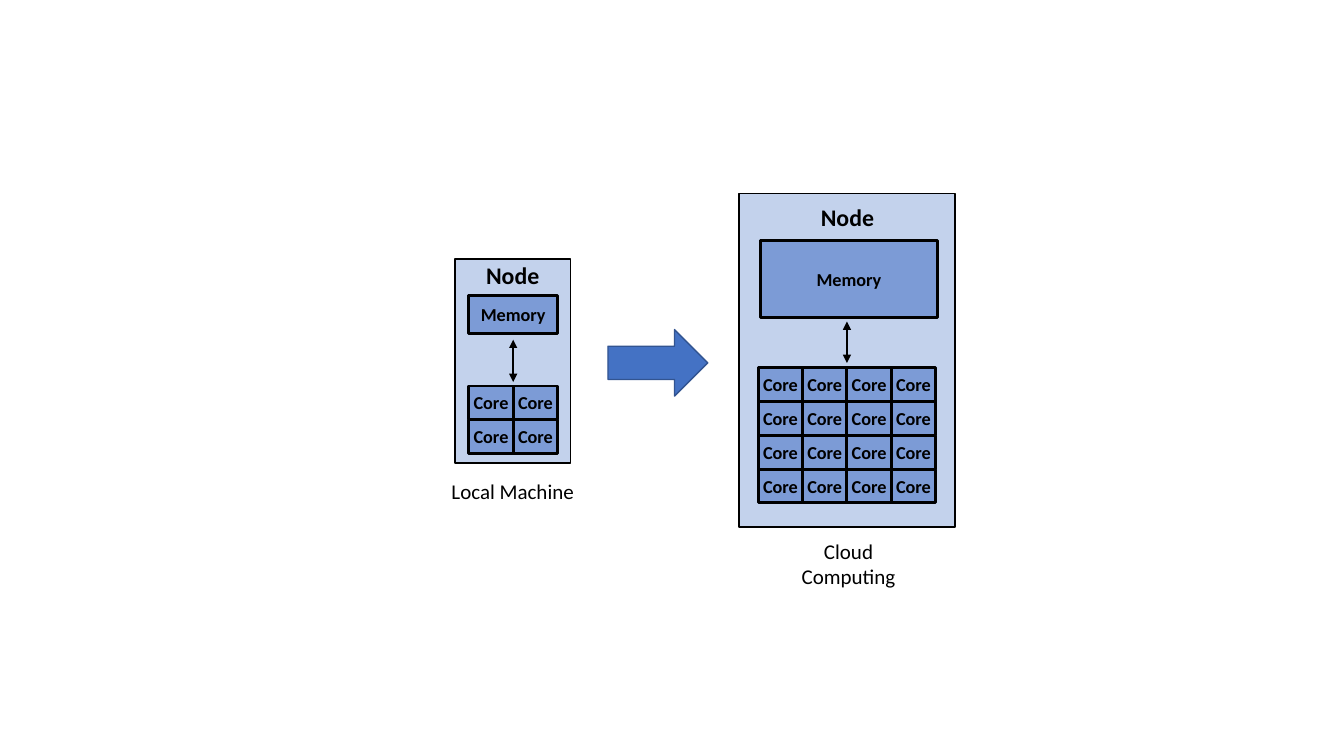
from lxml import etree
from pptx import Presentation
from pptx.dml.color import RGBColor
from pptx.enum.shapes import MSO_CONNECTOR, MSO_SHAPE
from pptx.enum.text import MSO_ANCHOR as ANCHOR, PP_ALIGN as ALIGN
from pptx.oxml.ns import qn
from pptx.util import Inches, Pt

BLACK = RGBColor(0x00, 0x00, 0x00)
NODE_FILL = RGBColor(0xC3, 0xD2, 0xEC)
PART_FILL = RGBColor(0x7C, 0x9B, 0xD6)
ARROW_FILL = RGBColor(0x44, 0x72, 0xC4)
ARROW_LINE = RGBColor(0x32, 0x54, 0x91)
FONT = "Calibri"
CORE_W, CORE_H, CORE_PITCH = 0.44, 0.33, 1.01 / 3


def write(sp, text, size, bold, anchor):
    """Put centred text with narrow margins into a shape."""
    tf = sp.text_frame
    tf.word_wrap = True
    tf.vertical_anchor = anchor
    tf.margin_left = tf.margin_right = Inches(0.01)
    tf.margin_top = tf.margin_bottom = Inches(0.01)
    tf.text = text
    p = tf.paragraphs[0]
    p.alignment = ALIGN.CENTER
    font = p.runs[0].font
    font.name, font.size, font.bold = FONT, Pt(size), bold
    font.color.rgb = BLACK


def add_box(s, box, fill, line, width, kind=MSO_SHAPE.RECTANGLE):
    """Add a filled and outlined shape."""
    sp = s.shapes.add_shape(kind, *map(Inches, box))
    sp.shadow.inherit = False
    sp.fill.solid()
    sp.fill.fore_color.rgb = fill
    sp.line.color.rgb = line
    sp.line.width = Pt(width)
    return sp


def add_part(s, box, text):
    """Add a labelled hardware part."""
    write(add_box(s, box, PART_FILL, BLACK, 2), text, 13, True, ANCHOR.MIDDLE)


def add_label(s, box, text, size, bold=False):
    """Add a text box."""
    write(s.shapes.add_textbox(*map(Inches, box)), text, size, bold, ANCHOR.TOP)


def add_cores(s, left, top, count):
    """Add a square grid of cores."""
    for row in range(count):
        for col in range(count):
            box = (left + col * CORE_W, top + row * CORE_PITCH, CORE_W, CORE_H)
            add_part(s, box, "Core")


def add_double_arrow(s, x, top, bottom):
    """Add a vertical line with a head at each end."""
    line = s.shapes.add_connector(
        MSO_CONNECTOR.STRAIGHT, Inches(x), Inches(top), Inches(x), Inches(bottom))
    line.line.color.rgb = BLACK
    line.line.width = Pt(1.5)
    ln = line.line._get_or_add_ln()
    for end in ("a:headEnd", "a:tailEnd"):
        etree.SubElement(ln, qn(end), type="triangle")
    etree.SubElement(line._element.spPr, qn("a:effectLst"))


def add_node(s, frame, title, memory, link, cores, caption, name):
    """Add a node with its memory, cores and caption."""
    add_box(s, frame, NODE_FILL, BLACK, 1.25)
    add_cores(s, *cores)
    add_double_arrow(s, *link)
    add_part(s, memory, "Memory")
    add_label(s, title, "Node", 17, True)
    add_label(s, caption, name, 15)


def main():
    """Build and save the slide."""
    prs = Presentation()
    prs.slide_width, prs.slide_height = Inches(13.33), Inches(7.5)
    s = prs.slides.add_slide(prs.slide_layouts[6])
    add_node(s, frame=(7.33, 1.92, 2.14, 3.31), title=(8.01, 2, 0.79, 0.31),
             memory=(7.54, 2.39, 1.76, 0.76), link=(8.4, 3.19, 3.6),
             cores=(7.52, 3.65, 4), caption=(7.74, 5.33, 1.35, 0.53),
             name="Cloud Computing")
    add_node(s, frame=(4.51, 2.57, 1.15, 2.02), title=(4.69, 2.58, 0.79, 0.31),
             memory=(4.65, 2.93, 0.88, 0.38), link=(5.09, 3.37, 3.79),
             cores=(4.65, 3.83, 2), caption=(4.41, 4.74, 1.35, 0.27),
             name="Local Machine")
    add_box(s, (6.03, 3.27, 0.99, 0.66), ARROW_FILL, ARROW_LINE, 1,
            MSO_SHAPE.RIGHT_ARROW)
    prs.save("out.pptx")


if __name__ == "__main__":
    main()
